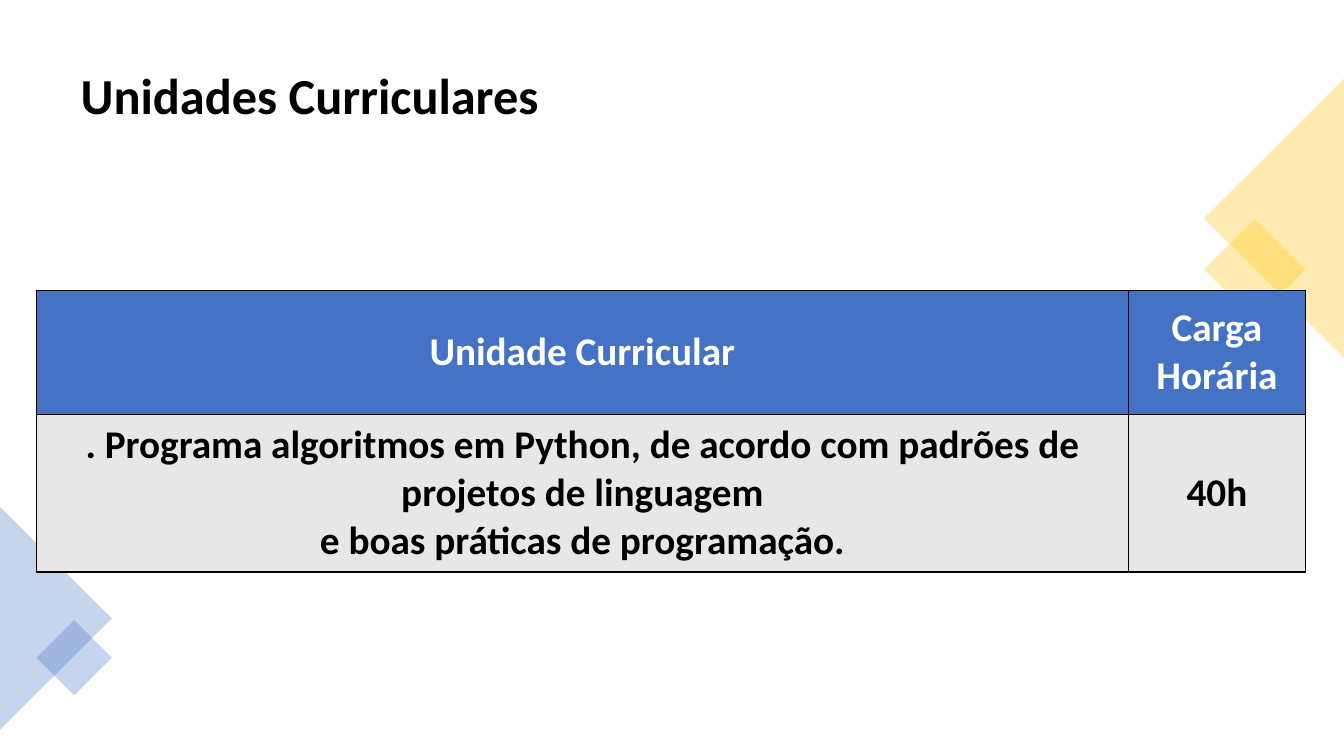
import pptx
import pptx.util
import pptx.dml.color
import pptx.enum.shapes
import pptx.enum.text
import pptx.oxml
import pptx.oxml.ns
from dataclasses import dataclass

Inches, Pt = pptx.util.Inches, pptx.util.Pt
SHAPE = pptx.enum.shapes.MSO_SHAPE
MIDDLE = pptx.enum.text.MSO_ANCHOR.MIDDLE
ALIGN = pptx.enum.text.PP_ALIGN


@dataclass(frozen=True)
class Theme:
    font: str = "Calibri"
    title_size: int = 36
    table_size: int = 28
    black: str = "000000"
    white: str = "FFFFFF"
    blue: str = "4472C4"
    yellow: str = "FFC000"
    grey: str = "E7E7E7"
    alpha: int = 30


T = Theme()


def rgb(color):
    return pptx.dml.color.RGBColor.from_string(color)


def write(tf, text, size=T.table_size, color=T.black, bold=True,
          align=ALIGN.CENTER, spacing=None):
    """Fill a text frame, one paragraph per line of text."""
    tf.word_wrap = True
    for i, line in enumerate(text.split("\n")):
        p = tf.add_paragraph() if i else tf.paragraphs[0]
        p.alignment = align
        p.line_spacing = spacing
        r = p.add_run()
        r.text = line
        r.font.name, r.font.size, r.font.bold = T.font, Pt(size), bold
        r.font.color.rgb = rgb(color)


def add_title(s, text, x, y, w, h):
    sp = s.shapes.title
    sp.left, sp.top, sp.width, sp.height = map(Inches, (x, y, w, h))
    tf = sp.text_frame
    tf.vertical_anchor = MIDDLE
    write(tf, text, size=T.title_size, align=ALIGN.LEFT, spacing=0.9)


def add_rotated(s, kind, cx, cy, w, h, angle, color):
    """Place a translucent shape by its centre."""
    sp = s.shapes.add_shape(kind, Inches(cx - w / 2), Inches(cy - h / 2),
                            Inches(w), Inches(h))
    sp.rotation = angle
    sp.shadow.inherit = False
    sp.line.fill.background()
    sp.fill.solid()
    sp.fill.fore_color.rgb = rgb(color)
    clr = sp.fill._xPr.find(".//" + pptx.oxml.ns.qn("a:srgbClr"))
    clr.append(pptx.oxml.parse_xml(
        f'<a:alpha {pptx.oxml.ns.nsdecls("a")} val="{T.alpha * 1000}"/>'))


def add_corner(s, x, y, w, h, angle, side, dx, dy, color):
    """Triangle filling the box, and a diamond offset from the box centre."""
    cx, cy = x + w / 2, y + h / 2
    add_rotated(s, SHAPE.ISOSCELES_TRIANGLE, cx, cy, h, w, angle, color)
    add_rotated(s, SHAPE.RECTANGLE, cx + dx, cy + dy, side, side, 45, color)


def set_borders(cell):
    tcPr = cell._tc.get_or_add_tcPr()
    for i, edge in enumerate(("lnL", "lnR", "lnT", "lnB")):
        tcPr.insert(i, pptx.oxml.parse_xml(
            f'<a:{edge} {pptx.oxml.ns.nsdecls("a")} w="{Pt(1)}"><a:solidFill>'
            f'<a:srgbClr val="{T.black}"/></a:solidFill></a:{edge}>'))


def add_units_table(s, rows, x, y, widths, heights):
    tbl = s.shapes.add_table(len(heights), len(widths), Inches(x), Inches(y),
                             Inches(sum(widths)), Inches(sum(heights))).table
    for col, w in zip(tbl.columns, widths):
        col.width = Inches(w)
    for i, (row, h) in enumerate(zip(rows, heights)):
        tbl.rows[i].height = Inches(h)
        fill, color = (T.grey, T.black) if i else (T.blue, T.white)
        for j, text in enumerate(row):
            cell = tbl.cell(i, j)
            cell.margin_left = cell.margin_right = Inches(0.14)
            cell.margin_top = cell.margin_bottom = Inches(0.07)
            cell.vertical_anchor = MIDDLE
            cell.fill.solid()
            cell.fill.fore_color.rgb = rgb(fill)
            set_borders(cell)
            write(cell.text_frame, text, color=color)


def main():
    prs = pptx.Presentation()
    prs.slide_width, prs.slide_height = Inches(13.33), Inches(7.5)
    s = prs.slides.add_slide(prs.slide_layouts[5])
    s.background.fill.solid()
    s.background.fill.fore_color.rgb = rgb(T.white)

    # Title
    add_title(s, "Unidades Curriculares", 0.7, 0.35, 11.93, 1.24)

    # Corner ornaments
    add_corner(s, 11.94, 0.78, 1.39, 2.77, 270, 0.71, -0.19, 0.51, T.yellow)
    add_corner(s, 0, 5.03, 1.11, 2.21, 90, 0.53, 0.18, 0.39, T.blue)

    # Table of units
    add_units_table(s, [
        ("Unidade Curricular", "Carga Horária"),
        (". Programa algoritmos em Python, de acordo com padrões de projetos "
         "de linguagem\ne boas práticas de programação.", "40h"),
    ], 0.36, 2.88, (10.83, 1.76), (1.23, 1.46))

    prs.save("out.pptx")


if __name__ == "__main__":
    main()
